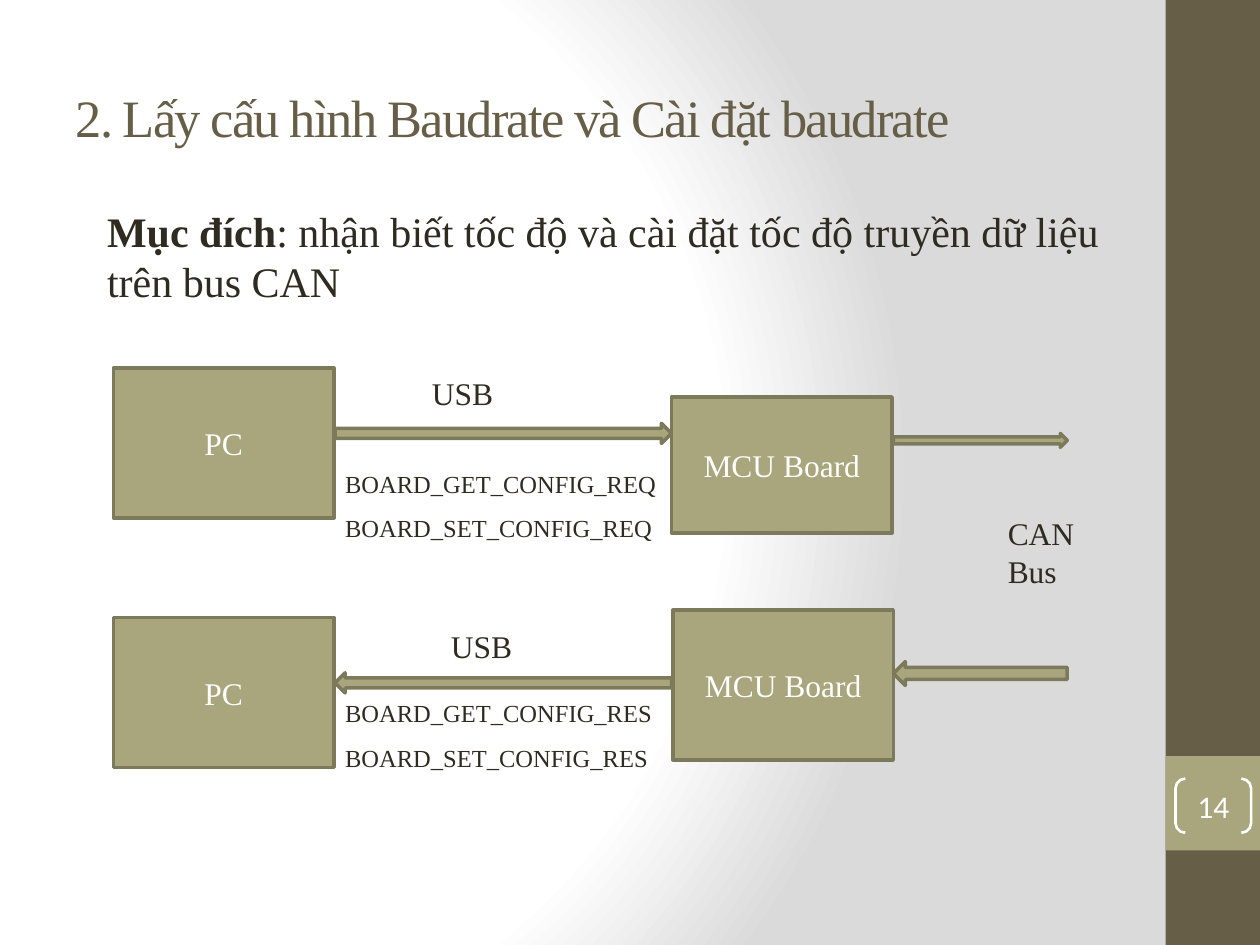
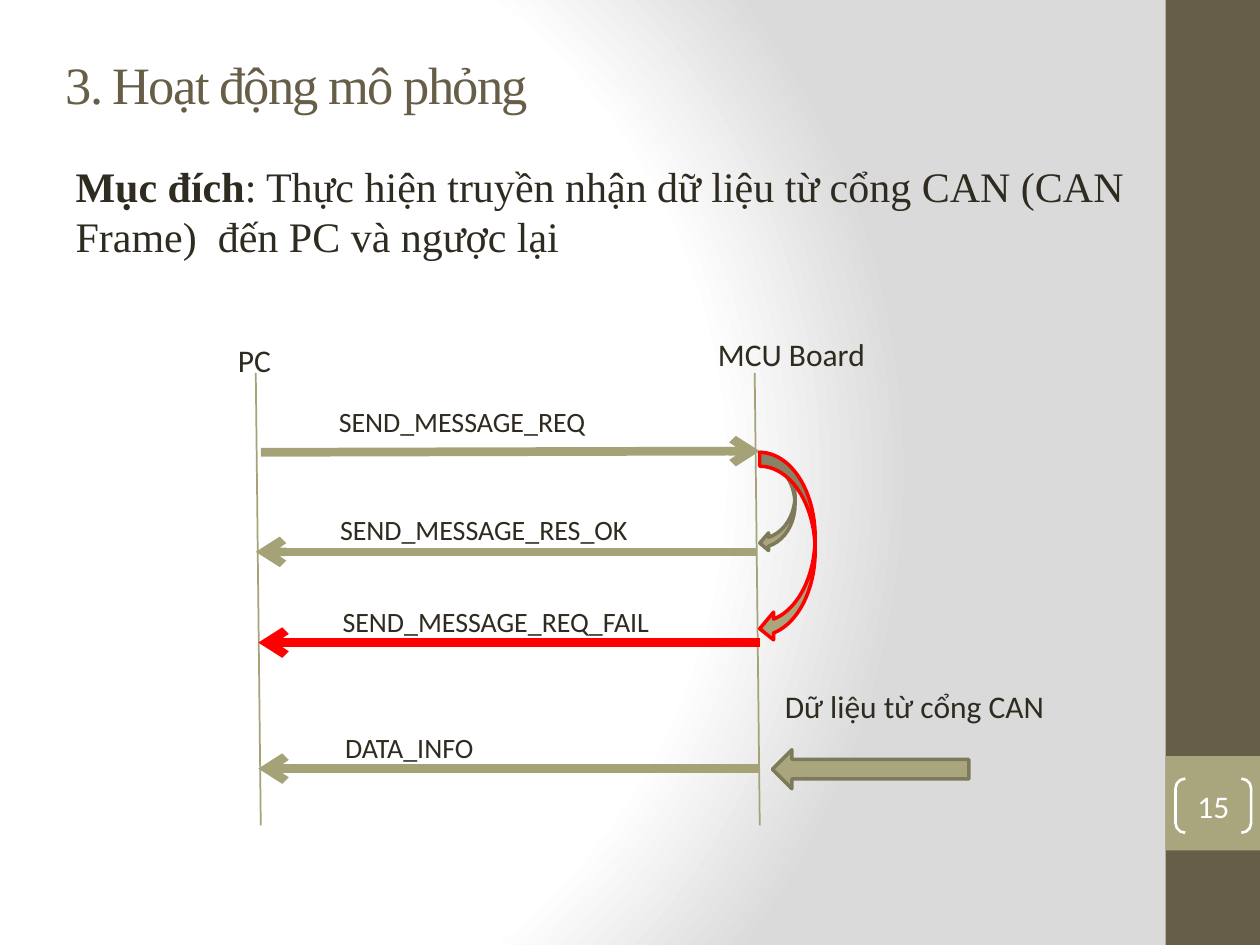
from dataclasses import dataclass

from pptx import Presentation
from pptx import util as u
from pptx.dml.color import RGBColor
from pptx.enum import shapes, text
from pptx.oxml import parse_xml
from pptx.oxml.ns import nsdecls, qn

KIND = shapes.MSO_SHAPE
SIZE = u.Inches(10), u.Inches(7.5)
COLS, ROWS = 10, 7.5


@dataclass(frozen=True)
class Theme:
    """Colours, fonts and type sizes of the deck."""
    dark: str = "675E47"
    fill: str = "A9A57C"
    edge: str = "7D7A5C"
    flow: str = "A6A278"
    ink: str = "2F2B20"
    white: str = "FFFFFF"
    shade: str = "DADADA"
    fail: str = "FF0000"
    serif: str = "Times New Roman"
    sans: str = "Calibri"
    title: int = 30
    body: int = 24
    label: int = 18
    call: int = 16
    small: int = 14


T = Theme()
CHIP = "MCU Board"


def col(n):
    """Turn grid columns into a length."""
    return round(SIZE[0] * n / COLS)


def row(n):
    """Turn grid rows into a length."""
    return round(SIZE[1] * n / ROWS)


def area(x, y, w, h):
    """Turn a grid cell into left, top, width and height."""
    return col(x), row(y), col(w), row(h)


def rgb(tone):
    """Read a hex colour."""
    return RGBColor.from_string(tone)


def style(par, size, font, tone):
    """Format all runs of a paragraph."""
    for run in par.runs:
        run.font.size = u.Pt(size)
        run.font.name = font
        run.font.color.rgb = rgb(tone)


def place(item, box):
    """Move a placeholder to a grid cell."""
    item.left, item.top, item.width, item.height = area(*box)


def shape(page, kind, box, fill=T.fill, edge=T.edge, width=2):
    """Add a preset shape; fill or edge may be None."""
    item = page.shapes.add_shape(kind, *area(*box))
    item.shadow.inherit = False
    if fill:
        item.fill.solid()
        item.fill.fore_color.rgb = rgb(fill)
    else:
        item.fill.background()
    if edge:
        item.line.color.rgb = rgb(edge)
        item.line.width = u.Pt(width)
    else:
        item.line.fill.background()
    return item


def write(item, words, font):
    """Centre white words in a shape."""
    frame = item.text_frame
    frame.text = words
    frame.vertical_anchor = text.MSO_ANCHOR.MIDDLE
    par = frame.paragraphs[0]
    par.alignment = text.PP_ALIGN.CENTER
    style(par, T.label, font, T.white)


def node(page, words, box):
    """Add a named block of the diagram."""
    write(shape(page, KIND.RECTANGLE, box), words, T.serif)


def label(page, words, box, size=T.label, font=T.serif):
    """Add a free line of text."""
    frame = page.shapes.add_textbox(*area(*box)).text_frame
    frame.word_wrap = True
    frame.text = words
    style(frame.paragraphs[0], size, font, T.ink)


def line(page, start, end, tone=T.flow, width=5, head=True):
    """Add a straight line, with an arrowhead at its end if wanted."""
    item = page.shapes.add_connector(
        shapes.MSO_CONNECTOR.STRAIGHT,
        col(start[0]), row(start[1]), col(end[0]), row(end[1]))
    item.line.color.rgb = rgb(tone)
    item.line.width = u.Pt(width)
    if head:
        item.line._get_or_add_ln().append(
            parse_xml(f'<a:tailEnd {nsdecls("a")} type="arrow"/>'))
    item.element.spPr.append(parse_xml(f'<a:effectLst {nsdecls("a")}/>'))


def paint(master):
    """Give the master its round gradient."""
    master.background.fill.solid()
    old = next(master.element.iter(qn("p:bgPr"))).find(qn("a:solidFill"))
    stops = "".join(
        f'<a:gs pos="{pos * 1000}"><a:srgbClr val="{tone}"/></a:gs>'
        for pos, tone in ((0, T.white), (75, T.white), (100, T.shade)))
    old.getparent().replace(old, parse_xml(
        f'<a:gradFill {nsdecls("a")} rotWithShape="1"><a:gsLst>{stops}</a:gsLst>'
        '<a:path path="circle"><a:fillToRect l="20000" t="50000" '
        'r="100000" b="50000"/></a:path></a:gradFill>'))


def band(page, layout):
    """Draw the side bands and hand them to the layout."""
    for box, tone in (((9.25, 0, 0.75, ROWS), T.dark),
                      ((9.25, 6, 0.75, 0.75), T.fill)):
        item = shape(page, KIND.RECTANGLE, box, tone, None)
        layout.shapes.element.append(item.element)


def head(page, words, box):
    """Fill the title placeholder."""
    item = page.shapes.title
    place(item, box)
    frame = item.text_frame
    frame.text = words
    frame.auto_size = text.MSO_AUTO_SIZE.NONE
    frame.vertical_anchor = text.MSO_ANCHOR.MIDDLE
    par = frame.paragraphs[0]
    par.alignment = text.PP_ALIGN.LEFT
    style(par, T.title, T.serif, T.dark)
    for run in par.runs:
        run.font._element.set("spc", "-100")


def goal(page, words, box, gap):
    """Fill the body placeholder with the purpose, its lead in bold."""
    item = page.placeholders[1]
    place(item, box)
    frame = item.text_frame
    frame.auto_size = text.MSO_AUTO_SIZE.NONE
    par = frame.paragraphs[0]
    par.space_before = u.Pt(gap)
    for part, bold in (("Mục đích", True), (f": {words}", False)):
        run = par.add_run()
        run.text = part
        run.font.bold = bold
    style(par, T.body, T.serif, T.ink)
    prop = par._p.get_or_add_pPr()
    prop.set("marL", "0")
    prop.set("indent", "0")
    prop.append(parse_xml(f'<a:buNone {nsdecls("a")}/>'))


def number(page, count):
    """Add the bracketed slide number."""
    item = shape(page, KIND.DOUBLE_BRACKET, (9.33, 6.18, 0.6, 0.43),
                 None, T.white, 1.5)
    item.adjustments[0] = 0.18
    frame = item.text_frame
    frame.margin_left = frame.margin_right = 0
    frame.margin_top = frame.margin_bottom = 0
    write(item, str(count), T.sans)


def baud(page):
    """Draw the baud rate slide: a request row and a response row."""
    head(page, "2. Lấy cấu hình Baudrate và Cài đặt baudrate",
         (0.5, 0.3, 9.33, 1.25))
    goal(page, "nhận biết tốc độ và cài đặt tốc độ truyền dữ liệu "
         "trên bus CAN", (0.75, 1.58, 8.17, 1), 0.2 * T.body)
    right, left = KIND.RIGHT_ARROW, KIND.LEFT_ARROW
    for top, chip, usb, kind, wire, bus, calls, end in (
            (2.92, (5.33, 3.15, 1.75, 1.08), (3.33, 2.92), right, 3.36,
             (3.44, 0.11), 3.67, "REQ"),
            (4.9, (5.34, 4.84, 1.75, 1.19), (3.48, 4.93), left, 5.34,
             (5.25, 0.19), 5.49, "RES")):
        node(page, "PC", (0.9, top, 1.75, 1.19))
        node(page, CHIP, chip)
        label(page, "USB", (*usb, 0.83, 0.44))
        shape(page, kind, (2.66, wire, 2.67, 0.16))
        shape(page, kind, (7.09, bus[0], 1.38, bus[1]))
        for i, verb in enumerate(("GET", "SET")):
            label(page, f"BOARD_{verb}_CONFIG_{end}",
                  (2.64, calls + 0.355 * i, 2.86, 0.37), T.small)
    label(page, "CAN Bus", (7.9, 4.03, 1.1, 0.78))


def talk(page):
    """Draw the message slide: two lifelines and the calls between them."""
    head(page, "3. Hoạt động mô phỏng", (0.42, 0.25, 8.42, 0.83))
    goal(page, "Thực hiện truyền nhận dữ liệu từ cổng CAN (CAN Frame)  "
         "đến PC và ngược lại", (0.5, 1.22, 9, 0.91), 0)
    for x in (2.03, 5.99):
        line(page, (x, 2.96), (x + 0.04, 6.55), width=1, head=False)
    label(page, "PC", (1.79, 2.66, 0.79, 0.35), font=T.sans)
    label(page, CHIP, (5.6, 2.61, 1.43, 0.35), font=T.sans)
    for words, x, y, start, end, tone in (
            ("SEND_MESSAGE_REQ", 2.59, 3.16, (2.07, 3.59), (6.03, 3.58), T.flow),
            ("SEND_MESSAGE_RES_OK", 2.6, 4.02, (6.01, 4.38), (2.03, 4.38), T.flow),
            ("SEND_MESSAGE_REQ_FAIL", 2.62, 4.75, (6.03, 5.1), (2.05, 5.1), T.fail),
            ("DATA_INFO", 2.64, 5.75, (6.03, 6.1), (2.05, 6.1), T.flow)):
        line(page, start, end, tone)
        label(page, words, (x, y, 3.12, 0.37), T.call, T.sans)
    for w, h, edge in ((0.28, 0.79, T.edge), (0.44, 1.51, T.fail)):
        shape(page, KIND.CURVED_LEFT_ARROW, (6.03, 3.59, w, h), edge=edge)
    shape(page, KIND.LEFT_ARROW, (6.13, 5.95, 1.56, 0.31))
    label(page, "Dữ liệu từ cổng CAN", (6.13, 5.4, 2.31, 0.71), font=T.sans)


def main():
    """Build the deck."""
    deck = Presentation()
    deck.slide_width, deck.slide_height = SIZE
    paint(deck.slide_master)
    layout = deck.slide_layouts[1]
    for count, draw in enumerate((baud, talk), 14):
        page = deck.slides.add_slide(layout)
        if count == 14:
            band(page, layout)
        draw(page)
        number(page, count)
    deck.save("out.pptx")


main()
